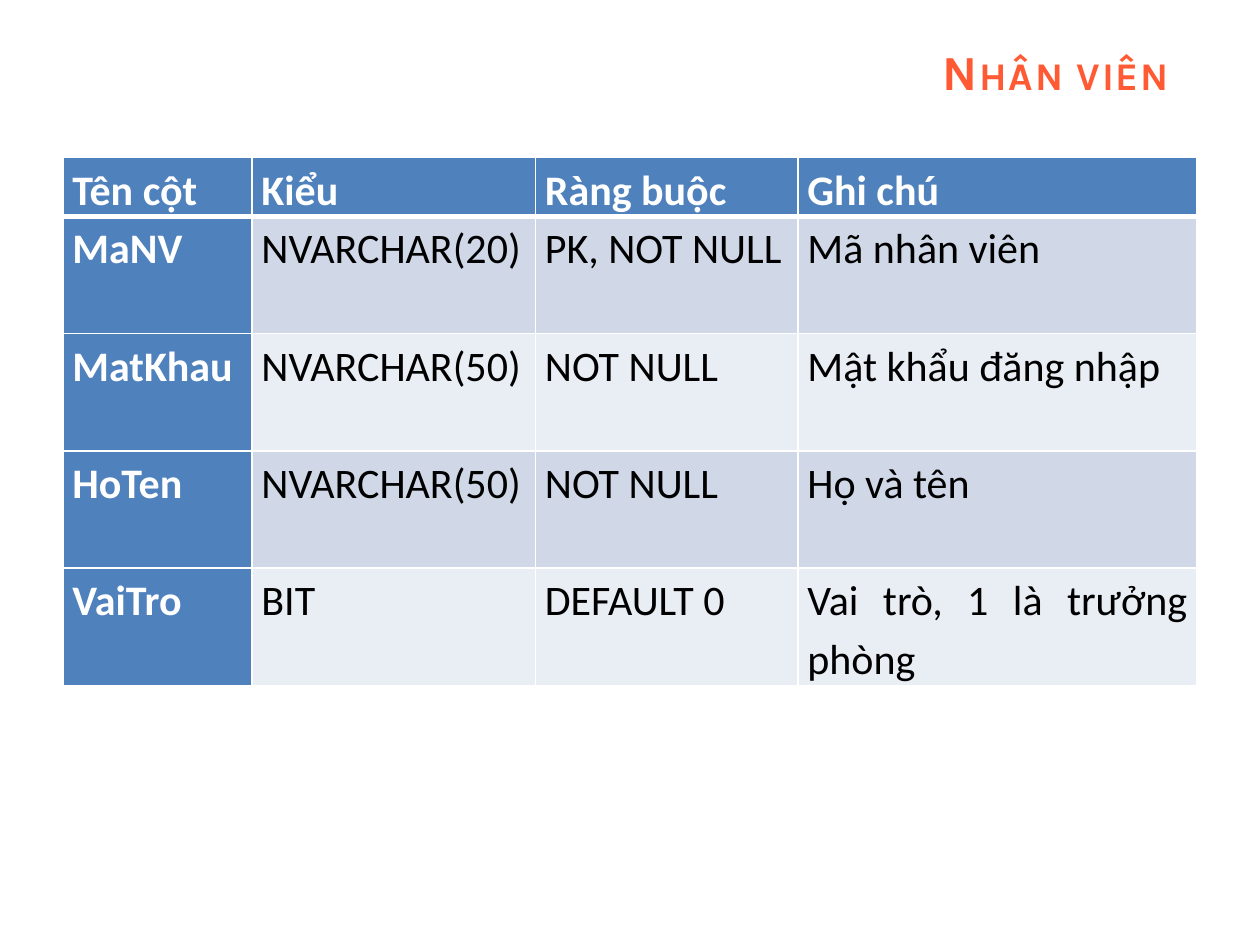
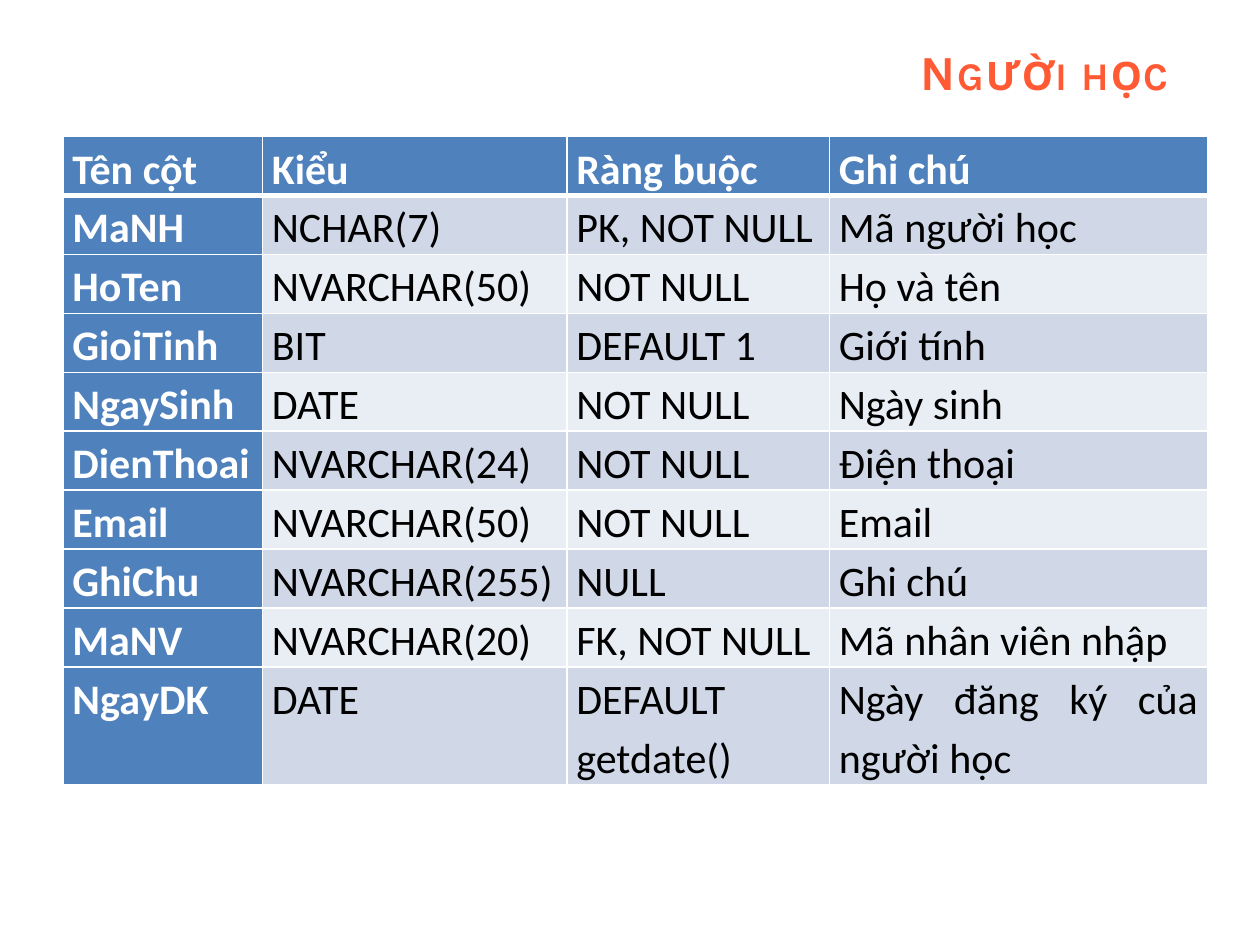
import pptx
import pptx.util
import pptx.dml.color
import pptx.enum.text
import pptx.oxml.ns
from lxml import etree

Pt = pptx.util.Pt
RGBColor = pptx.dml.color.RGBColor
PP_ALIGN = pptx.enum.text.PP_ALIGN

ORANGE = RGBColor(0xFF, 0x5A, 0x33)
BLUE = RGBColor(0x4F, 0x81, 0xBD)
BAND_DARK = RGBColor(0xD0, 0xD8, 0xE8)
BAND_LIGHT = RGBColor(0xE9, 0xED, 0xF4)
WHITE = RGBColor(0xFF, 0xFF, 0xFF)
BLACK = RGBColor(0, 0, 0)

TITLE_BOX = (162, 21.6, 522, 38)
HEADER = ("Tên cột", "Kiểu", "Ràng buộc", "Ghi chú")

EMPLOYEE_ROWS = [
    ("MaNV", "NVARCHAR(20)", "PK, NOT NULL", "Mã nhân viên"),
    ("MatKhau", "NVARCHAR(50)", "NOT NULL", "Mật khẩu đăng nhập"),
    ("HoTen", "NVARCHAR(50)", "NOT NULL", "Họ và tên"),
    ("VaiTro", "BIT", "DEFAULT 0", "Vai trò, 1 là trưởng phòng"),
]
LEARNER_ROWS = [
    ("MaNH", "NCHAR(7)", "PK, NOT NULL", "Mã người học"),
    ("HoTen", "NVARCHAR(50)", "NOT NULL", "Họ và tên"),
    ("GioiTinh", "BIT", "DEFAULT 1", "Giới tính"),
    ("NgaySinh", "DATE", "NOT NULL", "Ngày sinh"),
    ("DienThoai", "NVARCHAR(24)", "NOT NULL", "Điện thoại"),
    ("Email", "NVARCHAR(50)", "NOT NULL", "Email"),
    ("GhiChu", "NVARCHAR(255)", "NULL", "Ghi chú"),
    ("MaNV", "NVARCHAR(20)", "FK, NOT NULL", "Mã nhân viên nhập"),
    ("NgayDK", "DATE", "DEFAULT getdate()", "Ngày đăng ký của người học"),
]


def add_run(p, text, font, size, color, bold):
    """Add one formatted run to a paragraph and return it."""
    r = p.add_run()
    r.text = text
    r.font.name = font
    r.font.size = Pt(size)
    r.font.color.rgb = color
    r.font.bold = bold
    return r


def set_title(s, text, box):
    """Place the title placeholder and write it in small capitals."""
    sp = s.shapes.title
    sp.left, sp.top, sp.width, sp.height = map(Pt, box)
    tf = sp.text_frame
    tf.auto_size = pptx.enum.text.MSO_AUTO_SIZE.NONE
    tf.vertical_anchor = pptx.enum.text.MSO_ANCHOR.MIDDLE
    p = tf.paragraphs[0]
    p.alignment = PP_ALIGN.RIGHT
    r = add_run(p, text, "Karla", 28, ORANGE, True)
    r.font._element.set("cap", "small")
    r.font._element.set("spc", "100")


def set_borders(cell, top, bottom):
    """Draw white borders round a cell, with the given top and bottom widths."""
    qn = pptx.oxml.ns.qn
    tc_pr = cell._tc.get_or_add_tcPr()
    for side, width in (("L", 1), ("R", 1), ("T", top), ("B", bottom)):
        ln = etree.SubElement(tc_pr, qn(f"a:ln{side}"), w=str(Pt(width)))
        fill = etree.SubElement(ln, qn("a:solidFill"))
        etree.SubElement(fill, qn("a:srgbClr"), val=str(WHITE))


def fill_cell(cell, text, row, col):
    """Write and format one cell by its row and column."""
    is_head = row == 0 or col == 0
    set_borders(cell, 3 if row == 1 else 1, 3 if row == 0 else 1)
    cell.fill.solid()
    band = BAND_DARK if row % 2 else BAND_LIGHT
    cell.fill.fore_color.rgb = BLUE if is_head else band
    cell.margin_left = cell.margin_right = Pt(5.4)
    cell.margin_top = cell.margin_bottom = 0
    p = cell.text_frame.paragraphs[0]
    p.alignment = PP_ALIGN.JUSTIFY
    p.line_spacing = 1.15
    p.space_before = p.space_after = Pt(6)
    add_run(p, text, "Calibri", 24, WHITE if is_head else BLACK, is_head)


def add_column_table(s, rows, left, top, widths, heights):
    """Add the table that describes the columns of a database table."""
    frame = s.shapes.add_table(len(rows) + 1, len(HEADER), Pt(left), Pt(top),
                               Pt(sum(widths)), Pt(sum(heights)))
    table = frame.table
    table.first_col = True
    for column, width in zip(table.columns, widths):
        column.width = Pt(width)
    for table_row, height in zip(table.rows, heights):
        table_row.height = Pt(height)
    for i, texts in enumerate([HEADER, *rows]):
        for j, text in enumerate(texts):
            fill_cell(table.cell(i, j), text, i, j)


def add_table_slide(prs, title, rows, top, widths, heights):
    """Add a slide with a title and one column table."""
    s = prs.slides.add_slide(prs.slide_layouts[5])
    set_title(s, title, TITLE_BOX)
    add_column_table(s, rows, 36, top, widths, heights)


def main():
    """Build and save the presentation."""
    prs = pptx.Presentation()
    prs.slide_width, prs.slide_height = Pt(720), Pt(540)
    add_table_slide(prs, "Nhân viên", EMPLOYEE_ROWS, 90,
                    (108, 162, 150, 228), [32.4] + [67] * 4)
    add_table_slide(prs, "Người học", LEARNER_ROWS, 78,
                    (114, 174, 150, 216), [33.5] * 9 + [67])
    prs.save("out.pptx")


if __name__ == "__main__":
    main()
